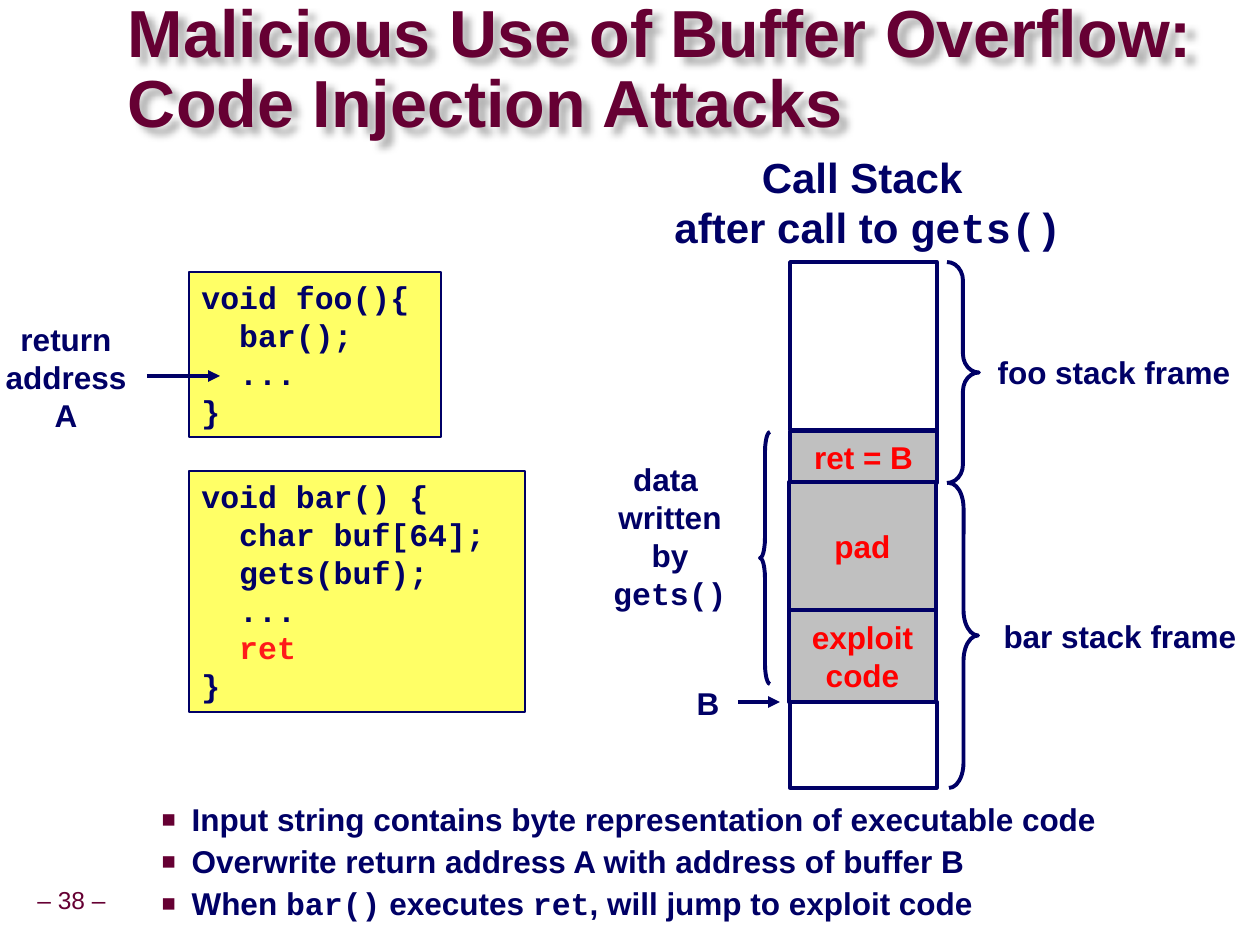
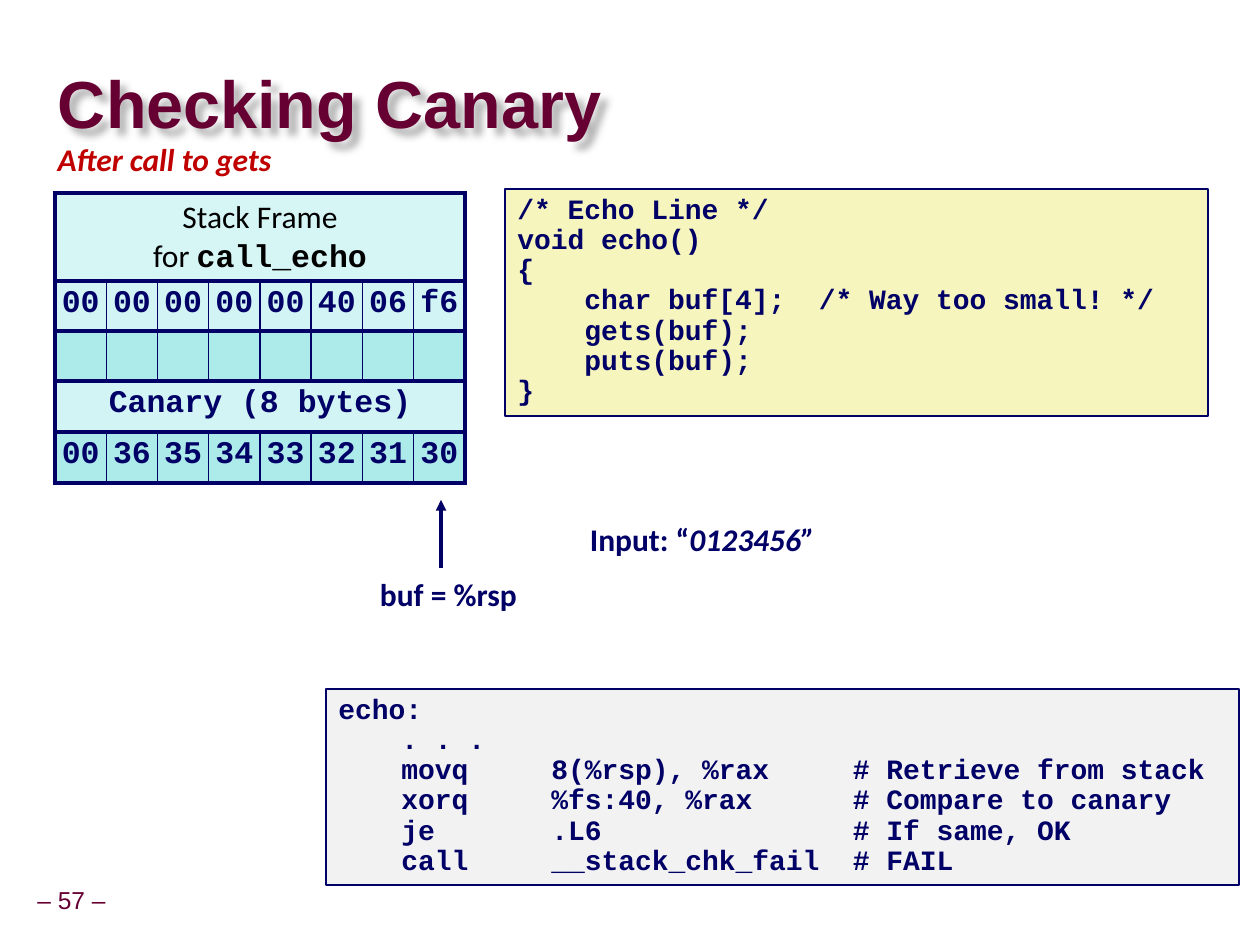
from typing import NamedTuple, Optional, Sequence, Union

from lxml import etree
from pptx import Presentation
from pptx import util as u
from pptx.dml.color import RGBColor
from pptx.enum import shapes, text
from pptx.oxml import ns

NAVY = RGBColor(0x00, 0x00, 0x66)
WINE = RGBColor(0x66, 0x00, 0x33)
RED = RGBColor(0xFF, 0x00, 0x00)
SCARLET = RGBColor(0xFF, 0x1A, 0x1A)
BRICK = RGBColor(0xC0, 0x00, 0x00)
BLACK = RGBColor(0x00, 0x00, 0x00)
WHITE = RGBColor(0xFF, 0xFF, 0xFF)
SILVER = RGBColor(0xC0, 0xC0, 0xC0)
PEARL = RGBColor(0xF2, 0xF2, 0xF2)
YELLOW = RGBColor(0xFF, 0xFF, 0x66)
CREAM = RGBColor(0xF6, 0xF5, 0xBD)
PALE = RGBColor(0xD6, 0xF5, 0xF5)
ICE = RGBColor(0xD2, 0xF4, 0xF4)
AQUA = RGBColor(0xAD, 0xEB, 0xEB)

SANS, HUMAN, MONO = "Arial", "Calibri", "Courier New"
LEFT, MID = text.PP_ALIGN.LEFT, text.PP_ALIGN.CENTER
TOP, CENTER = text.MSO_ANCHOR.TOP, text.MSO_ANCHOR.MIDDLE
SCALE = 914400 / 126


class Run(NamedTuple):
    text: str
    face: Optional[str] = None
    hue: Optional[RGBColor] = None
    bold: Optional[bool] = None
    slant: Optional[bool] = None


class Look(NamedTuple):
    size: int
    face: str = SANS
    hue: RGBColor = NAVY
    bold: bool = True
    slant: bool = False
    align: int = MID
    space: float = 1.0


class Box(NamedTuple):
    left: int
    top: int
    width: int
    height: int


class Label(NamedTuple):
    box: Box
    lines: Sequence
    look: Look
    anchor: int = CENTER


class Block(NamedTuple):
    box: Box
    hue: RGBColor
    weight: float
    lines: Sequence = ()


class Code(NamedTuple):
    box: Box
    hue: RGBColor
    look: Look
    lines: Sequence
    tabs: Sequence[int] = ()


class Brace(NamedTuple):
    box: Box
    kind: int
    curl: float


class Band(NamedTuple):
    height: int
    hue: RGBColor
    cells: Sequence
    look: Look
    inset: int = 1


Line = Union[str, Sequence[Run]]

LABEL = Look(18)
HEAD = Look(38, hue=WINE, align=LEFT, space=0.87)
PAGE = Look(14, hue=WINE, bold=False, space=0.9)
LIST = Look(18, align=LEFT, space=0.9)
NOTE = Look(18, HUMAN, space=0.9)
ALERT = Look(18, HUMAN, BRICK, slant=True, space=0.9)
CODE = Look(18, MONO, align=LEFT)
SMALL = Look(16, MONO, align=LEFT, space=0.9)
STACK = Look(18, hue=RED)
BYTE = Look(18, MONO, space=0.9)
FRAME = Look(18, HUMAN, BLACK, bold=False)


def px(count: int) -> u.Emu:
    return u.Emu(round(count * SCALE))


def span(box: Box) -> list[u.Emu]:
    return [px(side) for side in box]


def node(root, tag: str, **attrs):
    return etree.SubElement(root, ns.qn(tag), {key: str(val) for key, val in attrs.items()})


def write(frame, lines: Sequence[Line], look: Look, tabs: Sequence[int] = (),
          mark: bool = False) -> None:
    for idx, line in enumerate(lines):
        para = frame.paragraphs[0] if idx == 0 else frame.add_paragraph()
        props = para._p.get_or_add_pPr()
        if mark:
            props.set("marL", str(px(77)))
            props.set("indent", str(px(-30)))
            node(node(props, "a:buClr"), "a:srgbClr", val=WINE)
            node(props, "a:buSzPct", val=75000)
            node(props, "a:buFont", typeface=SANS)
            node(props, "a:buChar", char="■")
            para.space_before = u.Pt(4.5 if idx else 0)
        if tabs:
            stops = node(props, "a:tabLst")
            for tab in tabs:
                node(stops, "a:tab", pos=px(tab), algn="l")
        para.alignment = look.align
        para.line_spacing = look.space
        font = para.font
        font.size, font.name = u.Pt(look.size), look.face
        font.bold, font.italic = look.bold, look.slant
        font.color.rgb = look.hue
        for part in [Run(line)] if isinstance(line, str) else line:
            for row, words in enumerate(part.text.split("\n")):
                if row:
                    para.add_line_break()
                run = para.add_run()
                run.text = words
                if part.face:
                    run.font.name = part.face
                if part.hue is not None:
                    run.font.color.rgb = part.hue
                if part.bold is not None:
                    run.font.bold = part.bold
                if part.slant is not None:
                    run.font.italic = part.slant


def head(slide, box: Box, words: str) -> None:
    shape = slide.shapes.title
    shape.left, shape.top, shape.width, shape.height = span(box)
    frame = shape.text_frame
    frame.auto_size = text.MSO_AUTO_SIZE.NONE
    frame.vertical_anchor = CENTER
    frame.margin_left = frame.margin_right = frame.margin_top = frame.margin_bottom = 0
    write(frame, [words], HEAD)
    glow = node(node(shape._element.spPr, "a:effectLst"), "a:outerShdw",
                blurRad=px(7), dist=px(9), dir=2700000, algn="tl", rotWithShape=0)
    node(node(glow, "a:srgbClr", val=BLACK), "a:alpha", val=30000)


def label(slide, item: Label) -> None:
    frame = slide.shapes.add_textbox(*span(item.box)).text_frame
    frame.word_wrap = False
    frame.auto_size = text.MSO_AUTO_SIZE.SHAPE_TO_FIT_TEXT
    frame.margin_left = frame.margin_right = px(4)
    frame.vertical_anchor = item.anchor
    write(frame, item.lines, item.look)


def page(slide, num: int) -> None:
    label(slide, Label(Box(30, 882, 83, 39), [f"– {num} –"], PAGE))


def rect(slide, box: Box, hue: RGBColor, weight: float):
    shape = slide.shapes.add_shape(shapes.MSO_SHAPE.RECTANGLE, *span(box))
    shape.shadow.inherit = False
    shape.fill.solid()
    shape.fill.fore_color.rgb = hue
    shape.line.color.rgb = NAVY
    shape.line.width = u.Pt(weight)
    return shape


def block(slide, item: Block) -> None:
    frame = rect(slide, item.box, item.hue, item.weight).text_frame
    frame.word_wrap = False
    frame.vertical_anchor = CENTER
    write(frame, item.lines, STACK)


def code(slide, item: Code) -> None:
    frame = rect(slide, item.box, item.hue, 1).text_frame
    frame.word_wrap = True
    frame.vertical_anchor = TOP
    write(frame, item.lines, item.look, item.tabs)


def brace(slide, item: Brace) -> None:
    shape = slide.shapes.add_shape(item.kind, *span(item.box))
    shape.shadow.inherit = False
    shape.adjustments[0], shape.adjustments[1] = item.curl, 0.5
    shape.fill.background()
    shape.line.color.rgb = NAVY
    shape.line.width = u.Pt(2.25)


def arrow(slide, x1: int, y1: int, x2: int, y2: int, weight: float) -> None:
    line = slide.shapes.add_connector(shapes.MSO_CONNECTOR.STRAIGHT,
                                      px(x1), px(y1), px(x2), px(y2))
    line.line.color.rgb = NAVY
    line.line.width = u.Pt(weight)
    props = line._element.spPr
    node(props.find(ns.qn("a:ln")), "a:tailEnd", type="triangle")
    node(props, "a:effectLst")


def edge(cell, side: str, weight: int) -> None:
    line = node(cell._tc.get_or_add_tcPr(), f"a:ln{side}", w=u.Pt(weight))
    node(node(line, "a:solidFill"), "a:srgbClr", val=NAVY)


def grid(slide, box: Box, bands: Sequence[Band], cols: int) -> None:
    table = slide.shapes.add_table(len(bands), cols, *span(box)).table
    table.first_row = table.horz_banding = False
    for row, band in enumerate(bands):
        table.rows[row].height = px(band.height)
        whole = len(band.cells) == 1
        if whole:
            table.cell(row, 0).merge(table.cell(row, cols - 1))
        for col in range(cols):
            cell = table.cell(row, col)
            edge(cell, "L", 3 if whole or col == 0 else 1)
            edge(cell, "R", 3 if whole or col == cols - 1 else 1)
            edge(cell, "T", 3)
            edge(cell, "B", 3)
            cell.fill.solid()
            cell.fill.fore_color.rgb = band.hue
            cell.margin_left = cell.margin_right = px(band.inset)
            cell.margin_top = cell.margin_bottom = px(6)
        for col, lines in enumerate(band.cells):
            write(table.cell(row, col).text_frame, lines, band.look)


def attack(deck) -> None:
    slide = deck.slides.add_slide(deck.slide_layouts[1])
    head(slide, Box(128, 32, 1090, 79), "Malicious Use of Buffer Overflow:\nCode Injection Attacks")
    page(slide, 38)
    body = slide.placeholders[1]
    body.left, body.top, body.width, body.height = span(Box(102, 798, 1138, 105))
    body.text_frame.auto_size = text.MSO_AUTO_SIZE.NONE
    write(body.text_frame, [
        "Input string contains byte representation of executable code",
        "Overwrite return address A with address of buffer B",
        [Run("When "), Run("bar()", MONO), Run(" executes "), Run("ret", MONO),
         Run(", will jump to exploit code")],
    ], LIST, mark=True)
    for item in (
        Code(Box(189, 471, 336, 241), YELLOW, CODE,
             ["void bar() {", "  char buf[64];", "  gets(buf);", "  ...",
              [Run("  "), Run("ret", hue=SCARLET)], "}"]),
        Code(Box(189, 272, 252, 165), YELLOW, CODE,
             ["void foo(){", "  bar();", "  ...", "}"]),
    ):
        code(slide, item)
    for item in (
        Block(Box(790, 431, 147, 52), SILVER, 2, ["ret = B"]),
        Block(Box(790, 262, 147, 168), WHITE, 2),
        Block(Box(790, 702, 147, 86), WHITE, 2),
        Block(Box(789, 610, 147, 92), SILVER, 2.25, ["exploit", "code"]),
        Block(Box(789, 482, 147, 128), SILVER, 2.25, ["pad"]),
    ):
        block(slide, item)
    for item in (
        Brace(Box(947, 262, 32, 221), shapes.MSO_SHAPE.RIGHT_BRACE, 0.58),
        Brace(Box(949, 483, 29, 305), shapes.MSO_SHAPE.RIGHT_BRACE, 0.87),
        Brace(Box(760, 432, 10, 252), shapes.MSO_SHAPE.LEFT_BRACE, 2),
    ):
        brace(slide, item)
    for item in (
        Label(Box(-7, 314, 146, 126), ["return", "address", "A"], LABEL),
        Label(Box(660, 145, 416, 115),
              ["Call Stack ", [Run("after call to "), Run("gets()", MONO)]], Look(24), TOP),
        Label(Box(985, 347, 258, 50), ["foo stack frame"], LABEL),
        Label(Box(991, 611, 258, 50), ["bar stack frame"], LABEL),
        Label(Box(684, 678, 48, 50), ["B"], LABEL),
        Label(Box(601, 454, 138, 164),
              ["data ", "written", "by", [Run("gets()", MONO)]], LABEL),
    ):
        label(slide, item)
    arrow(slide, 147, 376, 220, 376, 2.25)
    arrow(slide, 738, 702, 780, 702, 2.25)


def canary(deck) -> None:
    slide = deck.slides.add_slide(deck.slide_layouts[5])
    head(slide, Box(58, 68, 895, 79), "Checking Canary")
    page(slide, 57)
    for item in (
        Code(Box(326, 689, 913, 196), PEARL, SMALL,
             ["echo:", "\t. . .",
              "\tmovq\t8(%rsp), %rax     # Retrieve from stack",
              "\txorq\t%fs:40, %rax      # Compare to canary",
              "\tje\t.L6               # If same, OK",
              "\tcall\t__stack_chk_fail  # FAIL"], (63, 213)),
        Code(Box(505, 189, 703, 227), CREAM, SMALL,
             ["/* Echo Line */", "void echo()", "{",
              "    char buf[4];  /* Way too small! */",
              "    gets(buf);", "    puts(buf);", "}"]),
    ):
        code(slide, item)
    for item in (
        Label(Box(576, 518, 253, 50),
              [[Run("Input: “"), Run("0123456”", slant=True)]], NOTE, TOP),
        Label(Box(43, 138, 243, 50), ["After call to gets"], ALERT, TOP),
        Label(Box(368, 573, 168, 50), ["buf = %rsp "], NOTE, TOP),
    ):
        label(slide, item)
    title = ["Stack Frame", [Run("for "), Run("call_echo", MONO, bold=True)]]
    grid(slide, Box(55, 193, 410, 290), [
        Band(88, PALE, [title], FRAME, 13),
        Band(50, ICE, [[byte] for byte in "00 00 00 00 00 40 06 f6".split()], BYTE),
        Band(50, AQUA, [], BYTE),
        Band(51, ICE, [["Canary (8 bytes)"]], BYTE),
        Band(51, AQUA, [[byte] for byte in "00 36 35 34 33 32 31 30".split()], BYTE),
    ], 8)
    arrow(slide, 441, 568, 441, 500, 2)


def main() -> None:
    deck = Presentation()
    deck.slide_width, deck.slide_height = px(1260), px(945)
    attack(deck)
    canary(deck)
    deck.save("out.pptx")


if __name__ == "__main__":
    main()
